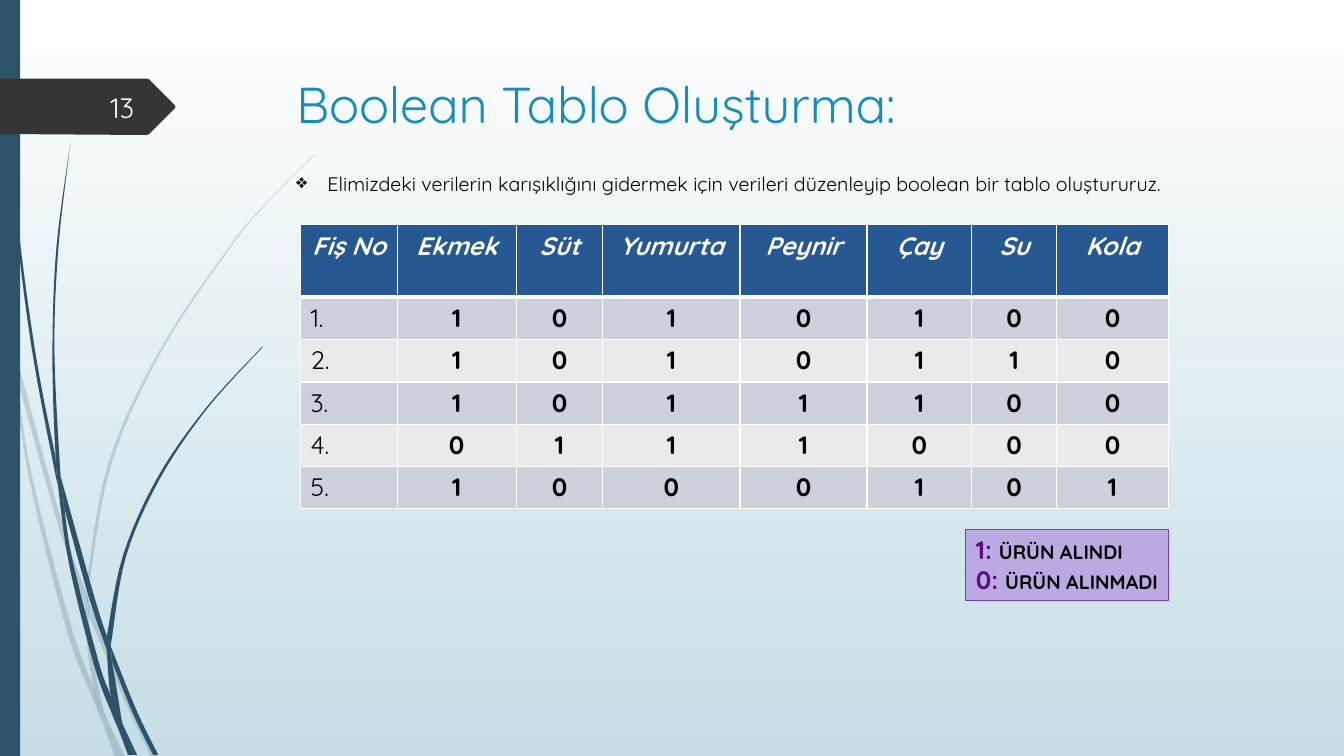
import pptx
import pptx.util
import pptx.dml.color
import pptx.enum.shapes
import pptx.enum.text
import pptx.oxml
import pptx.oxml.ns

RGB = pptx.dml.color.RGBColor
IN = pptx.util.Inches
PT = pptx.util.Pt
ALIGN = pptx.enum.text.PP_ALIGN
ANCHOR = pptx.enum.text.MSO_ANCHOR
FIT = pptx.enum.text.MSO_AUTO_SIZE

WHITE, BLACK = RGB(255, 255, 255), RGB(0, 0, 0)
MIST, STEM = RGB(0xC5, 0xDE, 0xE5), RGB(0x2E, 0x53, 0x69)
CHARCOAL, TITLE = RGB(0x35, 0x35, 0x35), RGB(0x17, 0x8D, 0xBB)
HEADER = RGB(0x26, 0x59, 0x91)
BANDS = (RGB(0xCD, 0xD1, 0xDC), RGB(0xE8, 0xEA, 0xEE))
LILAC, VIOLET = RGB(0xBB, 0xA9, 0xE1), RGB(0x78, 0x3D, 0xC3)
PURPLE = RGB(0x60, 0x0D, 0x7B)

PRODUCTS = ["Fiş No", "Ekmek", "Süt", "Yumurta", "Peynir", "Çay", "Su", "Kola"]
RECEIPTS = ["1010100", "1010110", "1011100", "0111000", "1000101"]
COLS = [0.96, 1.18, 0.86, 1.36, 1.26, 1.04, 0.84, 1.11]
HEAD_H, ROW_H = 0.72, 0.42
LEGEND = [("1: ", "ÜRÜN ALINDI"), ("0: ", "ÜRÜN ALINMADI")]
INTRO = ("Elimizdeki verilerin karışıklığını gidermek için verileri "
         "düzenleyip boolean bir tablo oluştururuz.")

PALE_STEMS = [
    ([(0.11, 3.5), (0.09, 3.22), (0, 2.82)], [(0, 2.99), (0.1, 3.44), (0.11, 3.5)]),
    ([(0.14, 3.45), (0.62, 5.2), (0.85, 5.86)],
     [(0.84, 5.99), (0.58, 5.22), (0.17, 3.76)]),
    ([(0.88, 5.96), (0.92, 6.07), (1.27, 6.92), (1.55, 7.51)],
     [(1.5, 7.51), (1.23, 6.94), (0.88, 6.1)]),
    ([(1.05, 7.11), (1.24, 7.51)], [(1.19, 7.51), (1.05, 7.11)]),
    ([(0.11, 3.5), (0.17, 3.76), (0.31, 4.69), (0.7, 6.19), (0.93, 6.83), (1.01, 7.14)],
     [(1.01, 7.14), (0.92, 6.93), (0.65, 6.21), (0.28, 4.7), (0.11, 3.5)]),
    ([(0.84, 5.99), (0.87, 6.46), (0.93, 6.83), (0.96, 6.92), (1.05, 7.11)],
     [(1.05, 7.11), (1.03, 7.06), (0.91, 6.46), (0.88, 6.08)]),
    ([(0.88, 5.96), (0.88, 5.84), (1.1, 4.62), (1.6, 3.49), (2.29, 2.45), (2.68, 1.98),
      (3.12, 1.54)],
     [(3.12, 1.53), (2.68, 1.97), (2.28, 2.44), (1.58, 3.48), (1.07, 4.61), (0.85, 5.84)]),
    ([(1.01, 7.14), (1.14, 7.51)], [(1.19, 7.51), (1.01, 7.14)]),
    ([(0.88, 6.1), (0.88, 5.96), (0.85, 5.86)], [(0.84, 5.99), (0.88, 6.08)]),
    ([(0.93, 6.83), (0.99, 7.07), (1.01, 7.14), (1.19, 7.51)],
     [(1.19, 7.51), (1.05, 7.11), (0.96, 6.92)]),
]
DARK_STEMS = [
    ([(0.03, 0), (0.07, 1.1), (0.17, 2.33), (0.33, 3.55), (0.57, 4.81)],
     [(0.55, 4.53), (0.36, 3.55), (0.19, 2.32), (0.08, 1.09), (0.04, 0)]),
    ([(0.64, 5.05), (0.88, 5.92), (1.06, 6.45)],
     [(1.06, 6.31), (0.93, 5.9), (0.6, 4.72)]),
    ([(1.1, 6.41), (1.13, 6.49), (1.36, 7.06), (1.57, 7.49)],
     [(1.52, 7.49), (1.32, 7.08), (1.11, 6.56)]),
    ([(0.57, 4.77), (0.68, 5.57), (0.93, 6.59), (1.11, 7.08), (1.17, 7.22)],
     [(1.16, 7.17), (1.1, 6.91), (0.98, 6.57), (0.72, 5.56), (0.64, 5.05)]),
    ([(0.6, 4.72), (0.54, 3.49), (0.58, 2.45), (0.7, 1.41)],
     [(0.7, 1.41), (0.56, 2.45), (0.52, 3.49), (0.55, 4.49), (0.6, 4.72)]),
    ([(1.22, 7.19), (1.33, 7.49)], [(1.36, 7.49), (1.22, 7.19)]),
    ([(0.55, 4.49), (0.57, 4.77), (0.64, 5.05)], [(0.6, 4.72), (0.55, 4.49)]),
    ([(1.1, 6.41), (1.11, 6.33), (1.25, 5.52), (1.58, 4.76), (2.05, 4.06), (2.61, 3.44)],
     [(2.6, 3.44), (2.04, 4.05), (1.56, 4.74), (1.22, 5.51), (1.06, 6.31)]),
    ([(1.17, 7.22), (1.27, 7.49)], [(1.31, 7.49), (1.17, 7.22)]),
    ([(1.06, 6.45), (1.1, 6.91), (1.22, 7.19)], [(1.21, 7.16), (1.11, 6.56), (1.06, 6.45)]),
    ([(1.06, 6.31), (1.06, 6.45), (1.11, 6.56)], [(1.1, 6.41), (1.06, 6.31)]),
    ([(1.1, 6.91), (1.17, 7.22), (1.3, 7.49)], [(1.33, 7.49), (1.22, 7.19), (1.1, 6.91)]),
]
TAG = [(0, 0.78), (1.46, 0.78), (1.48, 0.79), (1.73, 1.04), (1.74, 1.06),
       (1.73, 1.08), (1.48, 1.33), (1.46, 1.34), (0, 1.33)]


def smooth(edge, steps=6):
    ends = [edge[0], *edge, edge[-1]]
    curve = []
    for a, b, c, d in zip(ends, ends[1:], ends[2:], ends[3:]):
        for i in range(steps):
            t = i / steps
            curve.append(tuple(
                q + t * (r - p) / 2 + t * t * (2 * p - 5 * q + 4 * r - s) / 2
                + t ** 3 * (3 * q - p - 3 * r + s) / 2
                for p, q, r, s in zip(a, b, c, d)))
    return curve + [edge[-1]]


def paint(s, color, line=None):
    s.shadow.inherit = False
    s.fill.solid()
    s.fill.fore_color.rgb = color
    if line:
        s.line.color.rgb, s.line.width = line, PT(0.75)
    else:
        s.line.fill.background()


def outline(shapes, points, color, alpha=None):
    pts = [(IN(x), IN(y)) for x, y in points]
    fb = shapes.build_freeform(*pts[0])
    fb.add_line_segments(pts[1:], close=True)
    s = fb.convert_to_shape()
    paint(s, color)
    if alpha:
        clr = s._element.spPr.find(".//" + pptx.oxml.ns.qn("a:srgbClr"))
        clr.append(xml("alpha", f'val="{alpha * 1000}"'))


def xml(tag, attrs, inner=""):
    ns = pptx.oxml.ns.nsdecls("a")
    return pptx.oxml.parse_xml(f"<a:{tag} {ns} {attrs}>{inner}</a:{tag}>")


def write(p, text, size=18, color=BLACK, bold=False, italic=False, align=ALIGN.LEFT):
    p.alignment = align
    r = p.add_run()
    r.text = text
    f = r.font
    f.name, f.size, f.bold, f.italic = "Quicksand", PT(size), bold, italic
    f.color.rgb = color


def text_box(shapes, box, text, anchor=ANCHOR.TOP, **fmt):
    tf = shapes.add_textbox(*map(IN, box)).text_frame
    tf.word_wrap, tf.vertical_anchor = True, anchor
    write(tf.paragraphs[0], text, **fmt)
    return tf.paragraphs[0]


def style_cell(cell, color, bottom):
    tcPr = cell._tc.get_or_add_tcPr()
    for side, width in (("L", 1), ("R", 1), ("T", 1), ("B", bottom)):
        tcPr.append(xml(f"ln{side}", f'w="{PT(width)}"',
                        f'<a:solidFill><a:srgbClr val="{WHITE}"/></a:solidFill>'))
    cell.fill.solid()
    cell.fill.fore_color.rgb = color


def add_receipts(shapes):
    rows = [PRODUCTS] + [[f"{n}.", *bits] for n, bits in enumerate(RECEIPTS, 1)]
    heights = [HEAD_H] + [ROW_H] * len(RECEIPTS)
    table = shapes.add_table(len(rows), len(COLS), IN(2.98), IN(2.23),
                             IN(sum(COLS)), IN(sum(heights))).table
    for col, w in zip(table.columns, COLS):
        col.width = IN(w)
    for i, row in enumerate(rows):
        table.rows[i].height = IN(heights[i])
        head = i == 0
        for j, text in enumerate(row):
            cell = table.cell(i, j)
            style_cell(cell, HEADER if head else BANDS[(i - 1) % 2], 3 if head else 1)
            strong = head or j > 0
            write(cell.text_frame.paragraphs[0], text, color=WHITE if head else BLACK,
                  bold=strong, italic=head, align=ALIGN.CENTER if strong else ALIGN.LEFT)


def add_legend(shapes):
    s = shapes.add_shape(pptx.enum.shapes.MSO_SHAPE.RECTANGLE,
                         IN(9.58), IN(5.25), IN(2.01), IN(0.71))
    paint(s, LILAC, VIOLET)
    tf = s.text_frame
    tf.word_wrap, tf.auto_size = False, FIT.SHAPE_TO_FIT_TEXT
    tf.vertical_anchor = ANCHOR.TOP
    for i, (key, meaning) in enumerate(LEGEND):
        p = tf.add_paragraph() if i else tf.paragraphs[0]
        write(p, key, color=PURPLE, bold=True)
        write(p, meaning, size=14, bold=True)


def main():
    prs = pptx.Presentation()
    prs.slide_width, prs.slide_height = IN(13.33), IN(7.5)
    slide = prs.slides.add_slide(prs.slide_layouts[6])
    shapes = slide.shapes
    bg = slide.background.fill
    bg.gradient()
    bg.gradient_angle = 270
    for stop, color in zip(bg.gradient_stops, (WHITE, MIST)):
        stop.color.rgb = color
    for stems, alpha in ((PALE_STEMS, 20), (DARK_STEMS, None)):
        for out, back in stems:
            outline(shapes, smooth(out) + smooth(back), STEM, alpha)
    bar = shapes.add_shape(pptx.enum.shapes.MSO_SHAPE.RECTANGLE, 0, 0, IN(0.2), IN(7.5))
    paint(bar, STEM)
    outline(shapes, TAG, CHARCOAL)
    text_box(shapes, (2.84, 0.68, 9.75, 1.4), "Boolean Tablo Oluşturma:", size=36, color=TITLE)
    add_receipts(shapes)
    text_box(shapes, (0.58, 0.86, 0.85, 0.4), "13", anchor=ANCHOR.MIDDLE,
             size=20, color=WHITE, align=ALIGN.RIGHT)
    p = text_box(shapes, (2.84, 1.66, 9.54, 0.34), INTRO, size=14)
    pPr = p._p.get_or_add_pPr()
    pPr.set("marL", str(IN(0.31)))
    pPr.set("indent", str(-IN(0.31)))
    pPr.append(xml("buChar", 'char="❖"'))
    add_legend(shapes)
    prs.save("out.pptx")


if __name__ == "__main__":
    main()
